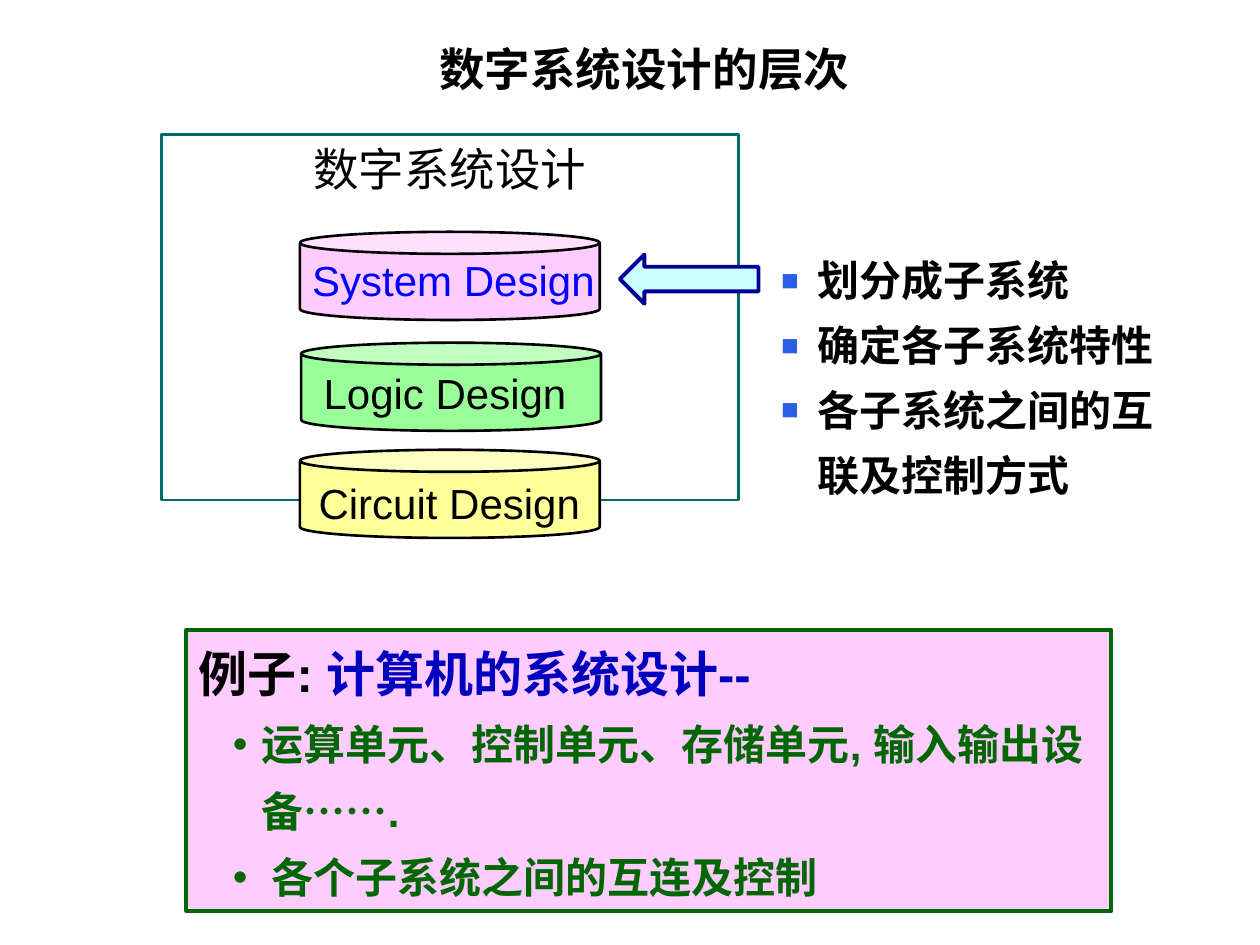
"""Build the slide on the levels of digital system design."""
from lxml import etree
from pptx import Presentation
from pptx.dml.color import RGBColor
from pptx.enum.shapes import MSO_SHAPE as SHAPE
from pptx.enum.text import MSO_ANCHOR as ANCHOR, PP_ALIGN as ALIGN
from pptx.oxml.ns import qn
from pptx.util import Inches, Pt

COLORS = {
    "black": "000000", "teal": "006A6A", "pink": "FFCCFF", "lime": "99FF99",
    "yellow": "FFFF99", "blue": "0000FF", "bullet": "2D5CE7", "green": "006600",
    "navy": "0000BF", "sky": "CCFFFF", "arrow": "000099",
}
LEVELS = [
    ("System Design", "pink", "blue", (2.38, 1.84), (2.38, 1.97)),
    ("Logic Design", "lime", "black", (2.39, 2.72), (2.47, 2.87)),
    ("Circuit Design", "yellow", "black", (2.38, 3.57), (2.43, 3.74)),
]
TASKS = ["划分成子系统", "确定各子系统特性", "各子系统之间的互联及控制方式"]
EXAMPLES = ["运算单元、控制单元、存储单元, 输入输出设备…….", " 各个子系统之间的互连及控制"]


def color(name):
    return RGBColor.from_string(COLORS[name])


def add_shape(shapes, kind, box, line, width, fill=None):
    s = shapes.add_shape(kind, *map(Inches, box))
    s.shadow.inherit = False
    if fill:
        s.fill.solid()
        s.fill.fore_color.rgb = color(fill)
    else:
        s.fill.background()
    s.line.color.rgb = color(line)
    s.line.width = Pt(width)
    s.text_frame.word_wrap = True
    s.text_frame.vertical_anchor = ANCHOR.TOP
    return s


def add_textbox(shapes, box):
    tf = shapes.add_textbox(*map(Inches, box)).text_frame
    tf.word_wrap = True
    return tf


def add_run(p, text, size, fill="black", bold=False):
    r = p.add_run()
    r.text = text
    r.font.name = "Arial"
    r.font.size = Pt(size)
    r.font.bold = bold
    r.font.color.rgb = color(fill)


def add_bullet(p, char, left, hanging, fill=None, percent=None):
    pPr = p._p.get_or_add_pPr()
    pPr.set("marL", str(Inches(left)))
    pPr.set("indent", str(-Inches(hanging)))
    if fill:
        clr = etree.SubElement(pPr, qn("a:buClr"))
        etree.SubElement(clr, qn("a:srgbClr"), val=COLORS[fill])
    if percent:
        etree.SubElement(pPr, qn("a:buSzPct"), val=str(percent * 1000))
    etree.SubElement(pPr, qn("a:buFont"), typeface="Arial")
    etree.SubElement(pPr, qn("a:buChar"), char=char)


def add_title(shapes):
    p = add_textbox(shapes, (1.06, 0.28, 8.11, 0.54)).paragraphs[0]
    p.alignment = ALIGN.CENTER
    add_run(p, "数字系统设计的层次", 26, bold=True)


def add_levels(shapes):
    frame = add_shape(shapes, SHAPE.RECTANGLE, (1.28, 1.07, 4.58, 2.9), "teal", 1.5)
    p = frame.text_frame.paragraphs[0]
    p.alignment = ALIGN.CENTER
    add_run(p, "数字系统设计", 26)
    for text, fill, ink, can_at, label_at in LEVELS:
        can = add_shape(shapes, SHAPE.CAN, (*can_at, 2.38, 0.7), "black", 1.5, fill)
        can.adjustments[0] = 0.25
        tf = add_textbox(shapes, (*label_at, 2.46, 0.51))
        add_run(tf.paragraphs[0], text, 24, ink)


def add_tasks(shapes):
    tf = add_textbox(shapes, (6.1, 1.86, 3.28, 2.18))
    for i, text in enumerate(TASKS):
        p = tf.add_paragraph() if i else tf.paragraphs[0]
        p.line_spacing = Pt(37)
        add_bullet(p, "■", 0.29, 0.29, "bullet", 70)
        add_run(p, text, 24, bold=True)


def add_example(shapes):
    s = add_shape(shapes, SHAPE.RECTANGLE, (1.48, 5, 7.34, 2.23), "green", 2.25, "pink")
    tf = s.text_frame
    p = tf.paragraphs[0]
    p.alignment = ALIGN.LEFT
    p.line_spacing = Pt(38)
    add_run(p, "例子: ", 28, bold=True)
    add_run(p, "计算机的系统设计--", 28, "navy", True)
    for text in EXAMPLES:
        p = tf.add_paragraph()
        p.level = 1
        p.alignment = ALIGN.LEFT
        p.line_spacing = Pt(38)
        add_bullet(p, "•", 0.5, 0.23)
        add_run(p, text, 24, "green", True)


def main():
    prs = Presentation()
    prs.slide_width, prs.slide_height = Inches(10), Inches(7.5)
    shapes = prs.slides.add_slide(prs.slide_layouts[6]).shapes
    add_title(shapes)
    add_levels(shapes.add_group_shape().shapes)
    add_tasks(shapes)
    add_example(shapes)
    add_shape(shapes, SHAPE.LEFT_ARROW, (4.92, 2.02, 1.1, 0.39), "arrow", 2.25, "sky")
    prs.save("out.pptx")


if __name__ == "__main__":
    main()
